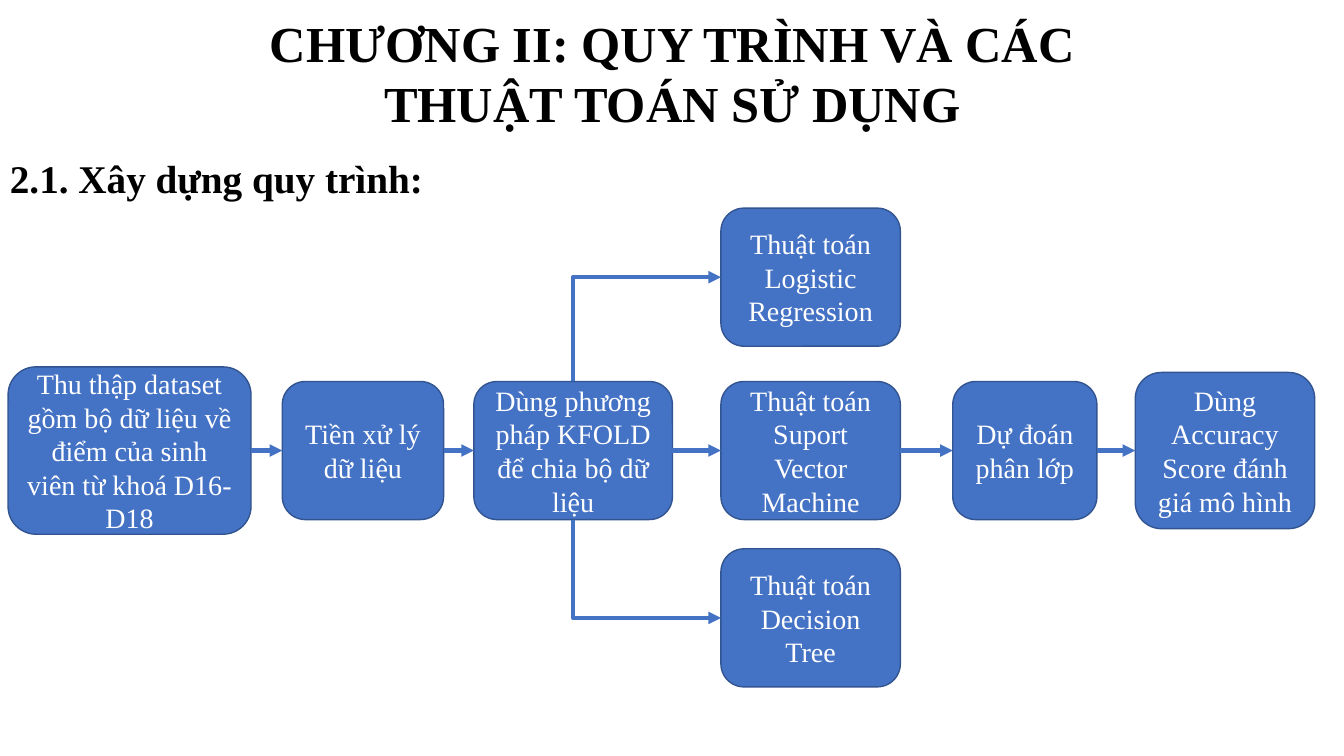
from dataclasses import dataclass

import lxml.etree
import pptx
import pptx.dml.color
import pptx.enum.shapes
import pptx.enum.text
import pptx.oxml.ns
import pptx.util

Inches = pptx.util.Inches
qn = pptx.oxml.ns.qn
ALIGN = pptx.enum.text.PP_ALIGN
ANCHOR = pptx.enum.text.MSO_ANCHOR
AUTO_SIZE = pptx.enum.text.MSO_AUTO_SIZE
CONNECTOR = pptx.enum.shapes.MSO_CONNECTOR

COLORS = {"text": "000000", "box": "4472C4", "edge": "325491", "box_text": "FFFFFF"}
FONT = "Times New Roman"
TOP, LEFT, BOTTOM, RIGHT = range(4)
MAIN_ROW, UPPER_ROW, LOWER_ROW = 4.47, 2.75, 6.13


@dataclass
class Step:
    text: str
    left: float
    width: float
    height: float = 1.37
    middle: float = MAIN_ROW


@dataclass
class Arrow:
    start: str
    end: str
    side: int = RIGHT


STEPS = {
    "collect": Step("Thu thập dataset gồm bộ dữ liệu về điểm của sinh viên từ khoá D16-D18",
                    0.08, 2.41, 1.66),
    "clean": Step("Tiền xử lý dữ liệu", 2.8, 1.6),
    "kfold": Step("Dùng phương pháp KFOLD để chia bộ dữ liệu", 4.7, 1.97),
    "logistic": Step("Thuật toán\nLogistic Regression", 7.15, 1.78, middle=UPPER_ROW),
    "svm": Step("Thuật toán\vSuport Vector Machine", 7.15, 1.78),
    "tree": Step("Thuật toán\vDecision Tree", 7.15, 1.78, middle=LOWER_ROW),
    "predict": Step("Dự đoán phân lớp", 9.45, 1.43),
    "score": Step("Dùng Accuracy Score đánh giá mô hình", 11.26, 1.78, 1.55),
}
ARROWS = [
    Arrow("collect", "clean"),
    Arrow("clean", "kfold"),
    Arrow("kfold", "svm"),
    Arrow("kfold", "logistic", TOP),
    Arrow("kfold", "tree", BOTTOM),
    Arrow("svm", "predict"),
    Arrow("predict", "score"),
]


def rgb(name: str) -> pptx.dml.color.RGBColor:
    return pptx.dml.color.RGBColor.from_string(COLORS[name])


def write(sp, text: str, size: int, color: str, align, bold: bool, frame: dict) -> None:
    """Fill a shape with text; frame holds text frame attributes."""
    tf = sp.text_frame
    tf.text = text
    for name, value in frame.items():
        setattr(tf, name, value)
    font = {"name": FONT, "size": pptx.util.Pt(size), "bold": bold}
    for p in tf.paragraphs:
        p.alignment = align
        for r in p.runs:
            for name, value in font.items():
                setattr(r.font, name, value)
            r.font.color.rgb = rgb(color)


def place(sp, left: float, top: float, width: float, height: float) -> None:
    box = {"left": left, "top": top, "width": width, "height": height}
    for name, value in box.items():
        setattr(sp, name, Inches(value))


def add_step(slide, step: Step):
    sp = slide.shapes.add_shape(
        pptx.enum.shapes.MSO_SHAPE.ROUNDED_RECTANGLE,
        Inches(step.left), Inches(step.middle - step.height / 2),
        Inches(step.width), Inches(step.height))
    sp.shadow.inherit = False
    sp.fill.solid()
    sp.fill.fore_color.rgb = rgb("box")
    sp.line.color.rgb = rgb("edge")
    sp.line.width = pptx.util.Pt(1)
    write(sp, step.text, 20, "box_text", ALIGN.CENTER, False,
          {"word_wrap": True, "vertical_anchor": ANCHOR.MIDDLE})
    return sp


def bend_once(c, side: int) -> None:
    """Turn an elbow into one corner that leaves vertically and arrives sideways."""
    across, rise = c.width, c.height
    center_x, center_y = c.left + across // 2, c.top + rise // 2
    c.left, c.top = center_x - rise // 2, center_y - across // 2
    c.width, c.height = rise, across
    spPr = c._element.spPr
    spPr.find(qn("a:prstGeom")).set("prst", "bentConnector2")
    turn = {"rot": "5400000" if side == TOP else "16200000",
            "flipH": "1", "flipV": "1" if side == TOP else "0"}
    for name, value in turn.items():
        spPr.find(qn("a:xfrm")).set(name, value)


def add_arrow(slide, arrow: Arrow, boxes: dict) -> None:
    straight = arrow.side == RIGHT
    kind = CONNECTOR.STRAIGHT if straight else CONNECTOR.ELBOW
    c = slide.shapes.add_connector(kind, 0, 0, 0, 0)
    c.begin_connect(boxes[arrow.start], arrow.side)
    c.end_connect(boxes[arrow.end], LEFT)
    if not straight:
        bend_once(c, arrow.side)
    c.line.color.rgb = rgb("box")
    c.line.width = pptx.util.Pt(3)
    lxml.etree.SubElement(c.line._get_or_add_ln(), qn("a:tailEnd"), type="triangle")
    lxml.etree.SubElement(c._element.spPr, qn("a:effectLst"))


def main() -> None:
    prs = pptx.Presentation()
    prs.slide_width, prs.slide_height = Inches(13.33), Inches(7.5)
    slide = prs.slides.add_slide(prs.slide_layouts[5])

    title = slide.shapes.title
    place(title, 1.83, 0.07, 9.68, 1.31)
    write(title, "CHƯƠNG II: QUY TRÌNH VÀ CÁC THUẬT TOÁN SỬ DỤNG", 36, "text",
          ALIGN.CENTER, True, {"word_wrap": True, "vertical_anchor": ANCHOR.TOP,
                               "auto_size": AUTO_SIZE.SHAPE_TO_FIT_TEXT})

    heading = slide.shapes.add_textbox(0, Inches(1.48), Inches(4.35), Inches(0.57))
    write(heading, "2.1. Xây dựng quy trình:", 28, "text", ALIGN.LEFT, True,
          {"word_wrap": False, "auto_size": AUTO_SIZE.SHAPE_TO_FIT_TEXT})

    boxes = {name: add_step(slide, step) for name, step in STEPS.items()}
    for arrow in ARROWS:
        add_arrow(slide, arrow, boxes)
    prs.save("out.pptx")


if __name__ == "__main__":
    main()
